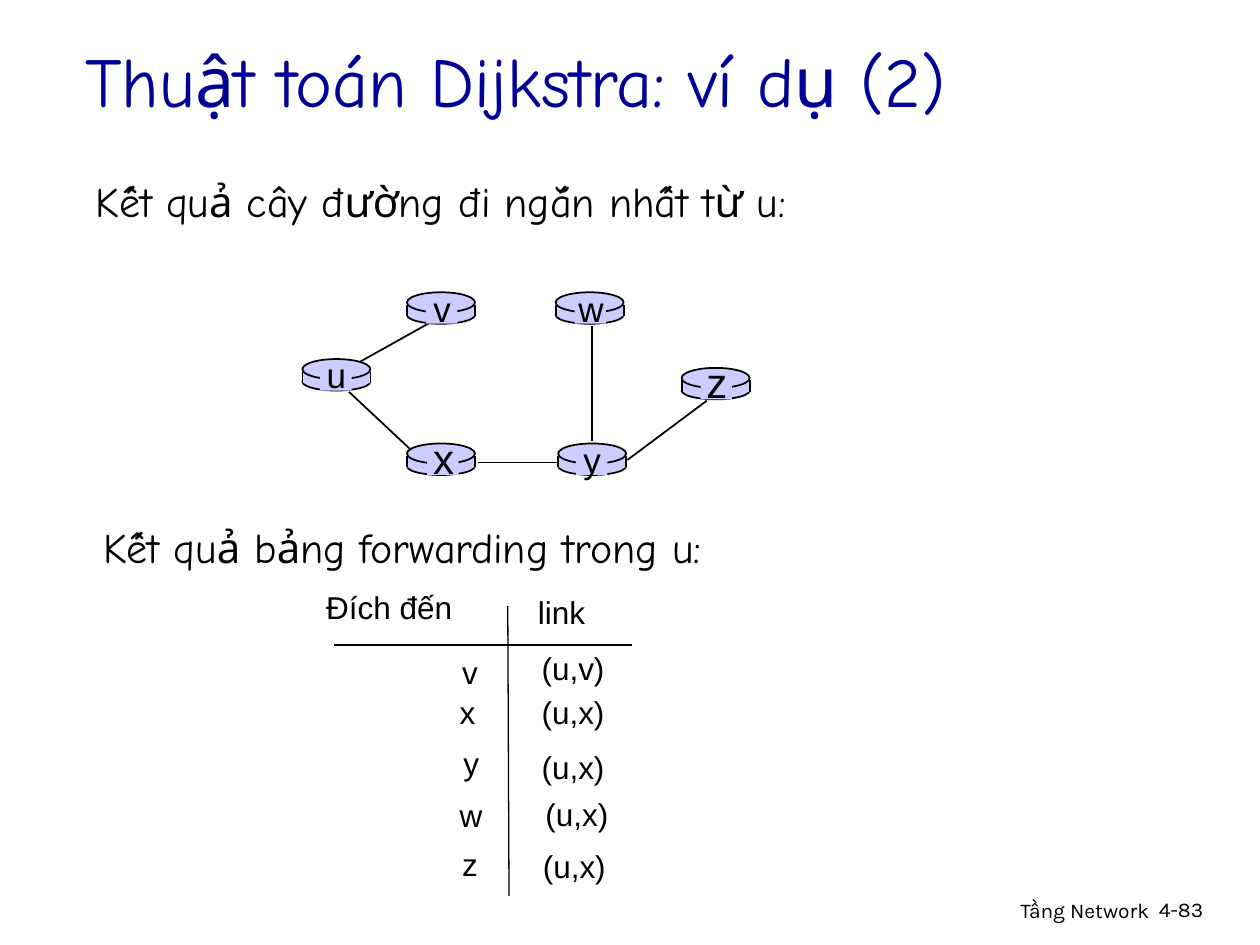
from pptx import Presentation
from pptx.dml.color import RGBColor
from pptx.enum.shapes import MSO_CONNECTOR, MSO_SHAPE
from pptx.enum.text import MSO_ANCHOR, MSO_AUTO_SIZE, PP_ALIGN
from pptx.oxml.ns import qn
from pptx.util import Inches, Pt
from lxml.etree import SubElement

BLACK = RGBColor(0x00, 0x00, 0x00)
NAVY = RGBColor(0x00, 0x00, 0x99)
LAVENDER = RGBColor(0xCC, 0xCC, 0xFF)
HEADING_FONT, LABEL_FONT, FOOTER_FONT = "Comic Neue", "Arial", "Karla"
ROUTER_WIDTH = 0.54


def add_text(slide, box, text, size, font, color=BLACK, align=PP_ALIGN.LEFT,
             anchor=MSO_ANCHOR.TOP, wrap=False):
    """Place one line of text in a box given in inches."""
    frame = slide.shapes.add_textbox(*map(Inches, box)).text_frame
    frame.word_wrap = wrap
    frame.auto_size = MSO_AUTO_SIZE.NONE if wrap else MSO_AUTO_SIZE.SHAPE_TO_FIT_TEXT
    frame.vertical_anchor = anchor
    frame.text = text
    paragraph = frame.paragraphs[0]
    paragraph.alignment = align
    run_font = paragraph.runs[0].font
    run_font.size, run_font.name = Pt(size), font
    run_font.color.rgb = color


def add_line(slide, start, end, weight=1):
    """Draw a straight black line without a shadow."""
    line = slide.shapes.add_connector(MSO_CONNECTOR.STRAIGHT,
                                      *map(Inches, (*start, *end)))
    line.line.color.rgb = BLACK
    line.line.width = Pt(weight)
    SubElement(line._element.spPr, qn("a:effectLst"))


def add_solid(slide, kind, box, outlined=False):
    """Draw a lavender shape, outlined in black on request."""
    solid = slide.shapes.add_shape(kind, *map(Inches, box))
    solid.shadow.inherit = False
    solid.fill.solid()
    solid.fill.fore_color.rgb = LAVENDER
    if outlined:
        solid.line.color.rgb = BLACK
        solid.line.width = Pt(1)
    else:
        solid.line.fill.background()


def add_router(slide, left, top, name, size, center):
    """Draw a router disc with its name on a patch at the given center."""
    side_top = top + 0.1
    add_solid(slide, MSO_SHAPE.OVAL, (left, top + 0.11, ROUTER_WIDTH, 0.14), True)
    add_solid(slide, MSO_SHAPE.RECTANGLE, (left, side_top, ROUTER_WIDTH, 0.09))
    for side in (left, left + ROUTER_WIDTH):
        add_line(slide, (side, side_top), (side, side_top + 0.09))
    add_solid(slide, MSO_SHAPE.OVAL, (left, top, ROUTER_WIDTH, 0.16), True)
    add_solid(slide, MSO_SHAPE.RECTANGLE, (center - 0.13, top + 0.02, 0.25, 0.23))
    height = 0.44 if size == 20 else 0.5
    middle = top + (0.13 if size == 20 else 0.11)
    add_text(slide, (center - 0.2, middle - height / 2, 0.4, height), name, size,
             LABEL_FONT, align=PP_ALIGN.CENTER)


def add_tree(slide, left, top):
    """Draw the shortest path tree from its top left corner."""
    edges = [((0.46, 0.55), (1.05, 0.22)), ((2.3, 0.27), (2.3, 1.18)),
             ((2.58, 1.33), (3.21, 0.86)), ((2.03, 1.35), (1.39, 1.35)),
             ((0.85, 1.24), (0.37, 0.79))]
    routers = [("u", 0, 0.53, 20, 0.27), ("x", 0.83, 1.2, 24, 1.12),
               ("v", 0.83, 0, 20, 1.11), ("w", 2.01, 0, 20, 2.29),
               ("y", 2.03, 1.2, 20, 2.3), ("z", 3.01, 0.6, 24, 3.29)]
    for edge in edges:
        add_line(slide, *((left + x, top + y) for x, y in edge))
    for name, x, y, size, center in routers:
        add_router(slide, left + x, top + y, name, size, left + center)


def add_forwarding(slide, left, top):
    """Lay out the ruled forwarding entries from their top left corner."""
    add_line(slide, (left + 1.54, top + 0.19), (left + 1.55, top + 2.49), 0.75)
    add_line(slide, (left + 0.16, top + 0.5), (left + 2.53, top + 0.5), 0.75)
    cells = [("Đích đến", 0, 0, 1.2), ("link", 1.68, 0.04, 0.65),
             ("v", 1.08, 0.51, 0.32), ("(u,v)", 1.71, 0.48, 0.7),
             ("x", 1.06, 0.83, 0.32), ("(u,x)", 1.71, 0.83, 0.7),
             ("y", 1.09, 1.24, 0.32), ("(u,x)", 1.71, 1.27, 0.7),
             ("w", 1.06, 1.65, 0.38), ("(u,x)", 1.74, 1.64, 0.7),
             ("z", 1.08, 2.04, 0.32), ("(u,x)", 1.72, 2.05, 0.7)]
    for text, x, y, width in cells:
        add_text(slide, (left + x, top + y, width, 0.4), text, 18, LABEL_FONT)


def add_headings(slide):
    """Write the title and the two section headings."""
    add_text(slide, (0.58, 0.17, 8.5, 0.93), "Thuật toán Dijkstra: ví dụ (2)", 40,
             HEADING_FONT, NAVY, anchor=MSO_ANCHOR.MIDDLE, wrap=True)
    add_text(slide, (0.66, 1.34, 5.68, 0.5), "Kết quả cây đường đi ngắn nhất từ u:",
             24, HEADING_FONT)
    add_text(slide, (0.72, 4.09, 4.97, 0.5), "Kết quả bảng forwarding trong u:",
             24, HEADING_FONT)


def add_footer(slide):
    """Write the chapter name and page number."""
    add_text(slide, (6.05, 7.07, 3.17, 0.31), "Tầng Network", 12, FOOTER_FONT,
             align=PP_ALIGN.RIGHT, wrap=True)
    add_text(slide, (9.1, 7.07, 0.74, 0.3), "4-83", 12, FOOTER_FONT, wrap=True)


def main():
    """Build and save the slide."""
    deck = Presentation()
    deck.slide_width, deck.slide_height = Inches(10), Inches(7.5)
    slide = deck.slides.add_slide(deck.slide_layouts[6])
    add_footer(slide)
    add_headings(slide)
    add_tree(slide, 2.4, 2.32)
    add_forwarding(slide, 2.49, 4.62)
    deck.save("out.pptx")


if __name__ == "__main__":
    main()
